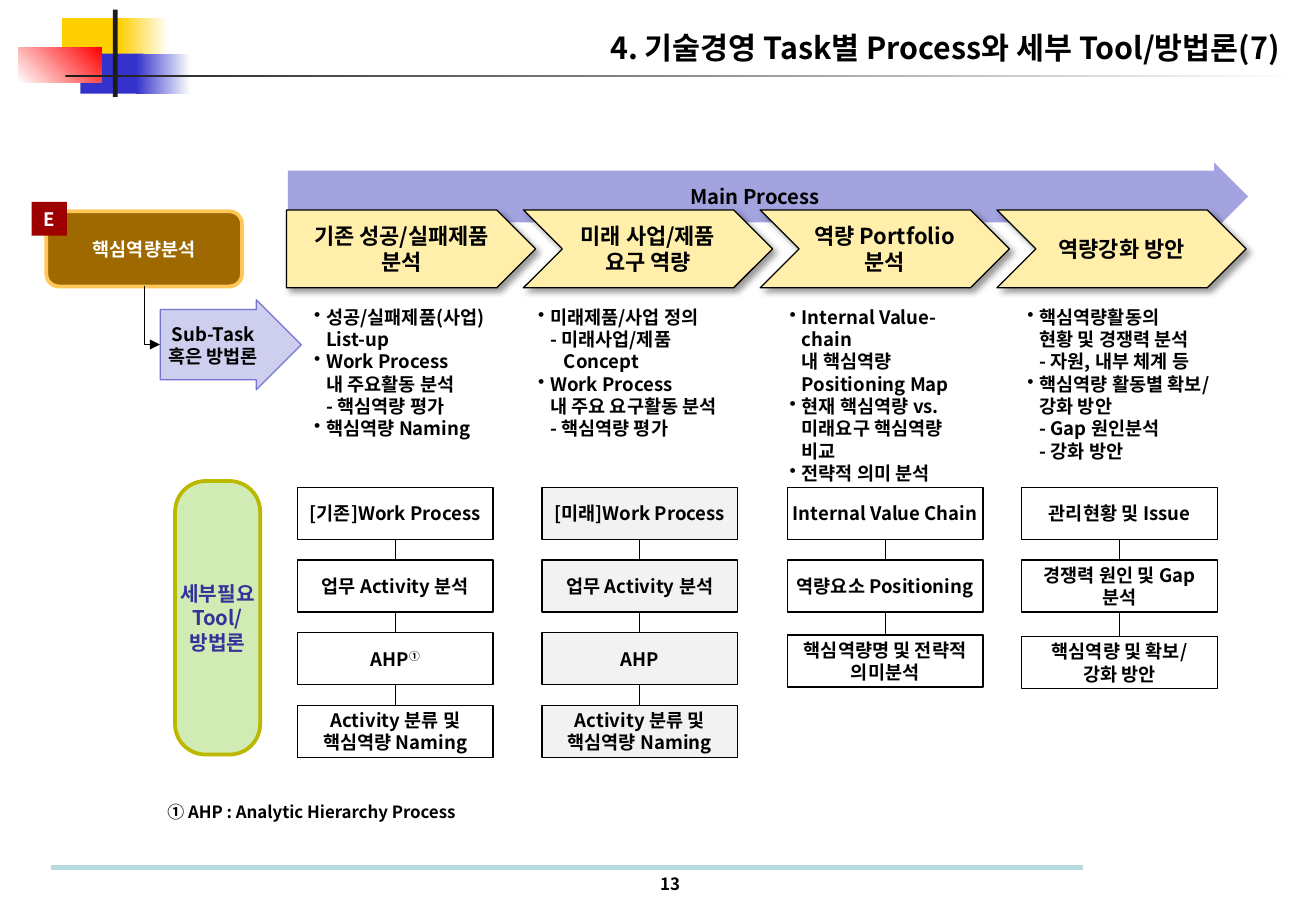
"""Build the core competence analysis process slide."""
from dataclasses import dataclass
from typing import Any

import pptx
import pptx.dml.color
import pptx.enum.shapes
import pptx.enum.text
import pptx.oxml
import pptx.oxml.ns
import pptx.util

Cm, Pt = pptx.util.Cm, pptx.util.Pt
MSO = pptx.enum.shapes.MSO_SHAPE
LINE = pptx.enum.shapes.MSO_CONNECTOR
ALIGN = pptx.enum.text.PP_ALIGN
ANCHOR = pptx.enum.text.MSO_ANCHOR
NS = pptx.oxml.ns.nsdecls("a")
FONT = "Noto Sans CJK KR"
STEP_W, STEP_H, STEP_TOP, STEP_PITCH = 4.09, 1.09, 10.19, 1.52


@dataclass
class Box:
    kind: Any
    x: float
    y: float
    w: float
    h: float
    fill: str
    lines: tuple[str, ...] = ()
    size: float = 11
    color: str = "000000"
    line: str = ""
    weight: float = 0.75
    adj: tuple[float, ...] = ()
    fade: str = ""
    angle: float = 0
    shadow: bool = False


@dataclass
class Item:
    text: str
    bullet: bool = True
    indent: float = 0.25


@dataclass
class Column:
    heading: tuple[str, ...]
    note_x: float
    note_w: float
    items: tuple[Item, ...]
    step_x: float
    steps: tuple[tuple[str, ...], ...]
    fill: str = "FFFFFF"
    last_drop: float = 0


DECOR = (
    Box(MSO.RECTANGLE, 1.3, 0.38, 1.37, 0.84, "FFCF01"),
    Box(MSO.RECTANGLE, 2.49, 0.38, 1.04, 0.84, "FFCF01", fade="FFFFFF"),
    Box(MSO.RECTANGLE, 1.68, 1.12, 1.32, 0.84, "3333CC"),
    Box(MSO.RECTANGLE, 2.84, 1.12, 1.14, 0.84, "3333CC", fade="FFFFFF"),
    Box(MSO.RECTANGLE, 0.38, 0.99, 1.75, 0.74, "FFFFFF", fade="FF0000", angle=45),
    Box(MSO.RECTANGLE, 2.36, 0.2, 0.1, 1.83, "1C1C1C"),
    Box(MSO.RECTANGLE, 1.37, 1.57, 25.76, 0.05, "1C1C1C", fade="FFFFFF"),
)
MAIN_ARROW = Box(MSO.RIGHT_ARROW, 6.02, 3.4, 20.07, 1.42, "A3A3E0",
                 ("Main Process",), 12, adj=(0.761, 0.5))
LABELS = (
    Box(MSO.ROUNDED_RECTANGLE, 0.97, 4.42, 4.09, 1.57, "9E6900",
        ("핵심역량분석",), color="FFFFFF", line="FFC757", weight=2.25),
    Box(MSO.RIGHT_ARROW, 3.35, 6.27, 2.95, 1.88, "CECEEF",
        ("Sub-Task", "혹은 방법론"), line="7575D1", adj=(0.781, 0.5)),
    Box(MSO.ROUNDED_RECTANGLE, 3.66, 10.06, 1.78, 5.72, "D0EBB3",
        ("세부필요", "Tool/", "방법론"), 12, "333399", "BCB800", 2.25, (0.36,)),
    Box(MSO.RECTANGLE, 0.66, 4.22, 0.74, 0.71, "9E0000", ("E",), color="FFFFFF"),
)
COLUMNS = (
    Column(("기존 성공/실패제품", "분석"), 6.32, 4.34,
           (Item("성공/실패제품(사업)\nList-up"),
            Item("Work Process\n내 주요활동 분석\n- 핵심역량 평가"),
            Item("핵심역량 Naming")), 6.22,
           (("[기존]Work Process",), ("업무 Activity 분석",), ("AHP①",),
            ("Activity 분류 및", "핵심역량 Naming"))),
    Column(("미래 사업/제품", "요구 역량"), 11, 4.7,
           (Item("미래제품/사업 정의\n- 미래사업/제품"),
            Item("Concept", False, 0.54),
            Item("Work Process\n내 주요 요구활동 분석\n- 핵심역량 평가")), 11.33,
           (("[미래]Work Process",), ("업무 Activity 분석",), ("AHP",),
            ("Activity 분류 및", "핵심역량 Naming")), "F2F2F2"),
    Column(("역량 Portfolio", "분석"), 16.26, 4.55,
           (Item("Internal Value-chain\n내 핵심역량\nPositioning Map"),
            Item("현재 핵심역량 vs.\n미래요구 핵심역량\n비교"),
            Item("전략적 의미 분석")), 16.46,
           (("Internal Value Chain",), ("역량요소 Positioning",),
            ("핵심역량명 및 전략적", "의미분석")), last_drop=0.05),
    Column(("역량강화 방안",), 21.23, 4.75,
           (Item("핵심역량활동의\n현황 및 경쟁력 분석\n- 자원, 내부 체계 등"),
            Item("핵심역량 활동별 확보/\n강화 방안\n- Gap 원인분석\n- 강화 방안")), 21.36,
           (("관리현황 및 Issue",), ("경쟁력 원인 및 Gap", "분석"),
            ("핵심역량 및 확보/", "강화 방안")), last_drop=0.08),
)


def rgb(value: str) -> pptx.dml.color.RGBColor:
    """Turn a hex string into a colour."""
    return pptx.dml.color.RGBColor.from_string(value)


def assign(target: Any, values: dict[str, Any]) -> None:
    """Set every attribute named in a dict of format values."""
    for name, value in values.items():
        setattr(target, name, value)


def add_run(p: Any, text: str, size: float, color: str) -> Any:
    """Add bold text in the slide font."""
    r = p.add_run()
    r.text = text
    assign(r.font, {"name": FONT, "size": Pt(size), "bold": True})
    r.font.color.rgb = rgb(color)
    r.font._element.append(pptx.oxml.parse_xml(f'<a:ea {NS} typeface="{FONT}"/>'))
    return r


def write(p: Any, text: str, size: float, color: str = "000000") -> None:
    """Fill a paragraph, breaking lines and raising the note mark of a label."""
    for i, part in enumerate(text.split("\n")):
        if i:
            p.add_line_break()
        body = part.removesuffix("①")
        add_run(p, body, size, color)
        if body != part:
            add_run(p, "①", size, color).font._element.set("baseline", "30000")


def add_box(s: Any, b: Box) -> None:
    """Draw one preset shape with its centred lines."""
    sp = s.shapes.add_shape(b.kind, Cm(b.x), Cm(b.y), Cm(b.w), Cm(b.h))
    sp.shadow.inherit = False
    for i, value in enumerate(b.adj):
        sp.adjustments[i] = value
    if b.fade:
        sp.fill.gradient()
        sp.fill.gradient_angle = b.angle
        for stop, color in zip(sp.fill.gradient_stops, (b.fill, b.fade)):
            stop.color.rgb = rgb(color)
    else:
        sp.fill.solid()
        sp.fill.fore_color.rgb = rgb(b.fill)
    if b.line:
        sp.line.color.rgb = rgb(b.line)
        sp.line.width = Pt(b.weight)
    else:
        sp.line.fill.background()
    if b.shadow:
        sp._element.spPr.find(pptx.oxml.ns.qn("a:effectLst")).append(pptx.oxml.parse_xml(
            f'<a:outerShdw {NS} blurRad="{Pt(4)}" dist="{Pt(3)}" dir="2700000">'
            '<a:srgbClr val="000000"><a:alpha val="40000"/></a:srgbClr></a:outerShdw>'))
    tf = sp.text_frame
    assign(tf, {"word_wrap": False, "vertical_anchor": ANCHOR.MIDDLE, "margin_left": 0,
                "margin_right": 0, "margin_top": 0, "margin_bottom": 0})
    for i, text in enumerate(b.lines):
        p = tf.add_paragraph() if i else tf.paragraphs[0]
        p.alignment = ALIGN.CENTER
        write(p, text, b.size, b.color)


def add_text(s: Any, x: float, y: float, w: float, h: float, items: tuple[Item, ...],
             size: float, align: Any = ALIGN.LEFT) -> None:
    """Draw a text box, with hanging bullets where asked."""
    tf = s.shapes.add_textbox(Cm(x), Cm(y), Cm(w), Cm(h)).text_frame
    tf.word_wrap = True
    for i, item in enumerate(items):
        p = tf.add_paragraph() if i else tf.paragraphs[0]
        p.alignment = align
        pPr = p._p.get_or_add_pPr()
        pPr.set("marL", str(Cm(item.indent)))
        if item.bullet:
            pPr.set("indent", str(-Cm(item.indent)))
            pPr.append(pptx.oxml.parse_xml(f'<a:buChar {NS} char="•"/>'))
        write(p, item.text, size)


def add_line(s: Any, x1: float, y1: float, x2: float, y2: float, color: str = "000000",
             weight: float = 0.75, kind: Any = LINE.STRAIGHT) -> Any:
    """Draw a connector without a shadow."""
    cn = s.shapes.add_connector(kind, Cm(x1), Cm(y1), Cm(x2), Cm(y2))
    cn.line.color.rgb = rgb(color)
    cn.line.width = Pt(weight)
    cn._element.spPr.append(pptx.oxml.parse_xml(f"<a:effectLst {NS}/>"))
    return cn


def add_elbow(s: Any) -> None:
    """Draw the bent arrow from the task to its sub-task."""
    cn = add_line(s, 3.79, 6.43, 2.57, 6.76, kind=LINE.ELBOW)
    spPr = cn._element.spPr
    spPr.find(pptx.oxml.ns.qn("a:xfrm")).set("rot", "16200000")
    spPr.find(pptx.oxml.ns.qn("a:prstGeom")).set("prst", "bentConnector2")
    cn.line._get_or_add_ln().append(pptx.oxml.parse_xml(f'<a:tailEnd {NS} type="triangle"/>'))


def add_column(s: Any, i: int, c: Column) -> None:
    """Draw a process heading, its notes and its chain of steps."""
    add_box(s, Box(MSO.CHEVRON if i else MSO.PENTAGON, 5.99 + i * 4.95, 4.39, 5.21, 1.63,
                   "FFEFAB", c.heading, 13, line="000000", shadow=True))
    add_text(s, c.note_x, 6.27, c.note_w, 3.56, c.items, 11)
    mid = c.step_x + STEP_W / 2
    for j, lines in enumerate(c.steps):
        top = STEP_TOP + j * STEP_PITCH + (c.last_drop if j == 2 else 0)
        if j:
            add_line(s, mid, STEP_TOP + (j - 1) * STEP_PITCH + STEP_H, mid, top)
        add_box(s, Box(MSO.RECTANGLE, c.step_x, top, STEP_W, STEP_H, c.fill, lines, line="000000"))


def main() -> None:
    """Build and save the slide."""
    prs = pptx.Presentation()
    assign(prs, {"slide_width": Cm(27.51), "slide_height": Cm(19.05)})
    s = prs.slides.add_slide(prs.slide_layouts[6])
    for b in (*DECOR, MAIN_ARROW):
        add_box(s, b)
    add_line(s, 1.07, 18.14, 22.63, 18.14, "B6DCDF", 3.5)
    title = "4. 기술경영 Task별 Process와 세부 Tool/방법론(7)"
    add_text(s, 11.61, 0.48, 15.39, 1.02, (Item(title, False, 0),), 18, ALIGN.RIGHT)
    add_text(s, 13.41, 18.14, 1.2, 0.69, (Item("13", False, 0),), 10, ALIGN.CENTER)
    for i, c in enumerate(COLUMNS):
        add_column(s, i, c)
    for b in LABELS:
        add_box(s, b)
    add_elbow(s)
    footnote = "① AHP : Analytic Hierarchy Process"
    add_text(s, 3.25, 16.64, 7, 0.69, (Item(footnote, False, 0),), 10)
    prs.save("out.pptx")


if __name__ == "__main__":
    main()
